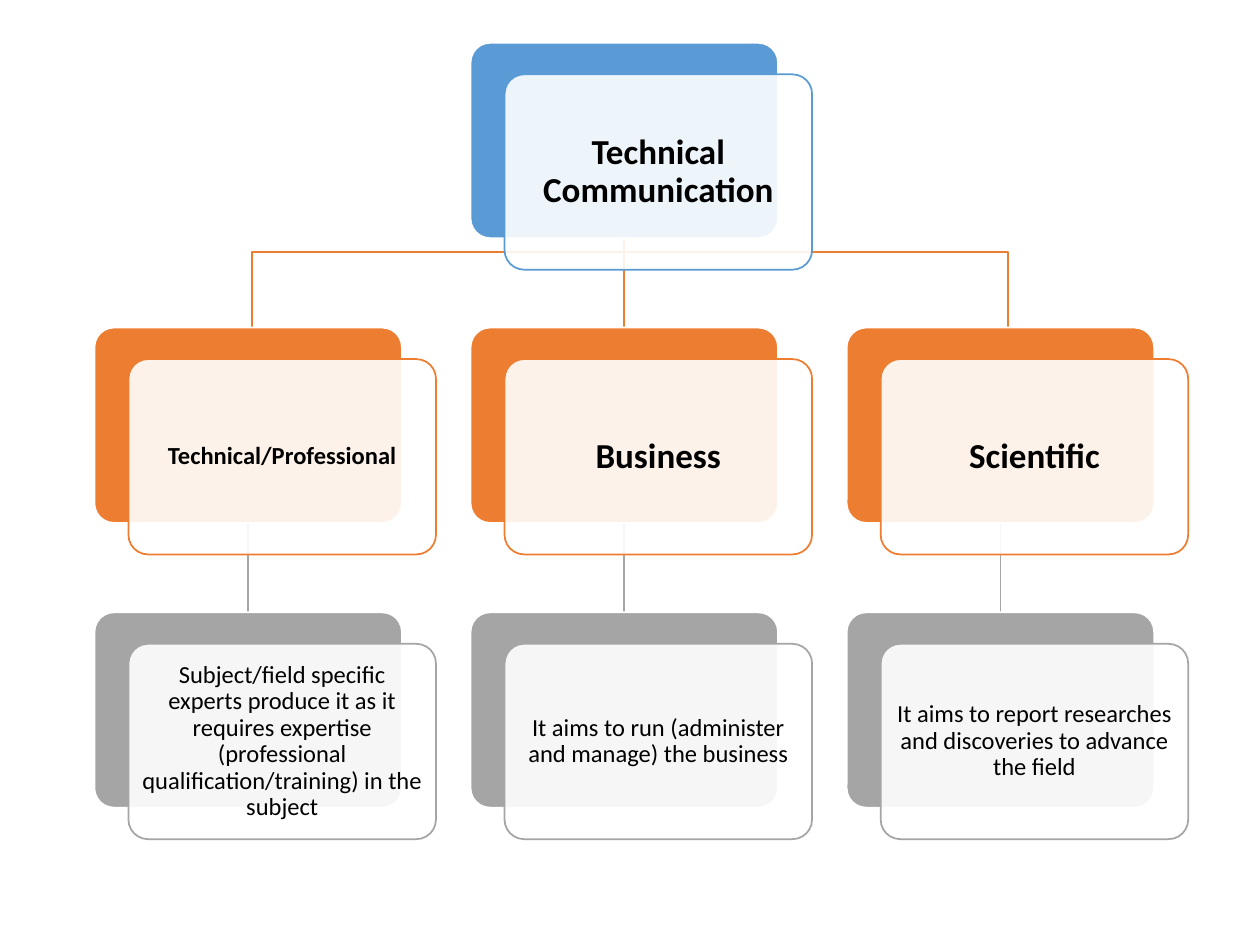
import pptx
import pptx.util
import pptx.dml.color
import pptx.enum.shapes
import pptx.enum.text
import pptx.oxml.ns
import lxml.etree

Inches, Pt = pptx.util.Inches, pptx.util.Pt
RGB = pptx.dml.color.RGBColor.from_string
qn = pptx.oxml.ns.qn

COLORS = {"root": "5B9BD5", "branch": "ED7D31", "detail": "A5A5A5",
          "white": "FFFFFF", "text": "000000"}

BOX_W, BOX_H = 2.44, 1.55
CARD_DX, CARD_DY = 0.27, 0.25
TEXT_PAD = 0.045
column_lefts = [0.75 + 2.985 * i for i in range(3)]
row_tops = [0.34 + 2.26 * i for i in range(3)]
centers = [left + BOX_W / 2 for left in column_lefts]

# column, row, level, text, size, bold, inset
nodes = [
    (1, 0, "root", "Technical Communication", 20, True, 0.08),
    (0, 1, "branch", "Technical/Professional", 14, True, 0.06),
    (0, 2, "detail", "Subject/field specific experts produce it as it requires expertise "
     "(professional qualification/training) in the subject", 14, False, 0.06),
    (1, 1, "branch", "Business", 20, True, 0.08),
    (1, 2, "detail", "It aims to run (administer and manage) the business", 14, False, 0.06),
    (2, 1, "branch", "Scientific", 20, True, 0.08),
    (2, 2, "detail", "It aims to report researches and discoveries to advance the field",
     14, False, 0.06),
]

deck = pptx.Presentation()
deck.slide_width, deck.slide_height = Inches(10), Inches(7.5)
slide = deck.slides.add_slide(deck.slide_layouts[6])
shapes = slide.shapes


def add_link(points, color):
    """Draw a thin line through points: a connector if straight, else an open outline."""
    if len(points) == 2:
        (x1, y1), (x2, y2) = points
        link = shapes.add_connector(pptx.enum.shapes.MSO_CONNECTOR.STRAIGHT,
                                    Inches(x1), Inches(y1), Inches(x2), Inches(y2))
    else:
        outline = shapes.build_freeform(*points[0], scale=Inches(1))
        outline.add_line_segments(points[1:], close=False)
        link = outline.convert_to_shape()
        link.fill.background()
    link.line.color.rgb = RGB(COLORS[color])
    link.line.width = Pt(1)
    lxml.etree.SubElement(link._element.spPr, qn("a:effectLst"))


def add_panel(left, top, fill, line):
    """Add one rounded panel and return it."""
    panel = shapes.add_shape(pptx.enum.shapes.MSO_SHAPE.ROUNDED_RECTANGLE,
                             Inches(left), Inches(top), Inches(BOX_W), Inches(BOX_H))
    panel.adjustments[0] = 0.1
    panel.shadow.inherit = False
    panel.fill.solid()
    panel.fill.fore_color.rgb = RGB(COLORS[fill])
    panel.line.color.rgb = RGB(COLORS[line])
    panel.line.width = Pt(1)
    return panel


root_bottom, branch_bottom = (top + BOX_H for top in row_tops[:2])
bend = 2.37
for center in reversed(centers):
    add_link([(center, branch_bottom), (center, row_tops[2])], "detail")
    bends = [] if center == centers[1] else [(centers[1], bend), (center, bend)]
    add_link([(centers[1], root_bottom), *bends, (center, row_tops[1])], "branch")

for column, row, level, text, size, bold, inset in nodes:
    left, top = column_lefts[column], row_tops[row]
    add_panel(left, top, level, "white")
    card = add_panel(left + CARD_DX, top + CARD_DY, "white", level)
    card_color = card._element.spPr.find(qn("a:solidFill"))[0]
    lxml.etree.SubElement(card_color, qn("a:alpha"), val="90000")

    label = shapes.add_textbox(
        Inches(left + CARD_DX + TEXT_PAD), Inches(top + CARD_DY + TEXT_PAD),
        Inches(BOX_W - 2 * TEXT_PAD), Inches(BOX_H - 2 * TEXT_PAD))
    frame = label.text_frame
    frame.word_wrap = True
    frame.vertical_anchor = pptx.enum.text.MSO_ANCHOR.MIDDLE
    frame.margin_left = frame.margin_right = Inches(inset)
    frame.margin_top = frame.margin_bottom = Inches(inset)
    paragraph = frame.paragraphs[0]
    paragraph.alignment = pptx.enum.text.PP_ALIGN.CENTER
    paragraph.line_spacing = 0.9
    run = paragraph.add_run()
    run.text = text
    run.font.name = "Calibri"
    run.font.size = Pt(size)
    run.font.bold = bold
    run.font.color.rgb = RGB(COLORS["text"])

deck.save("out.pptx")
